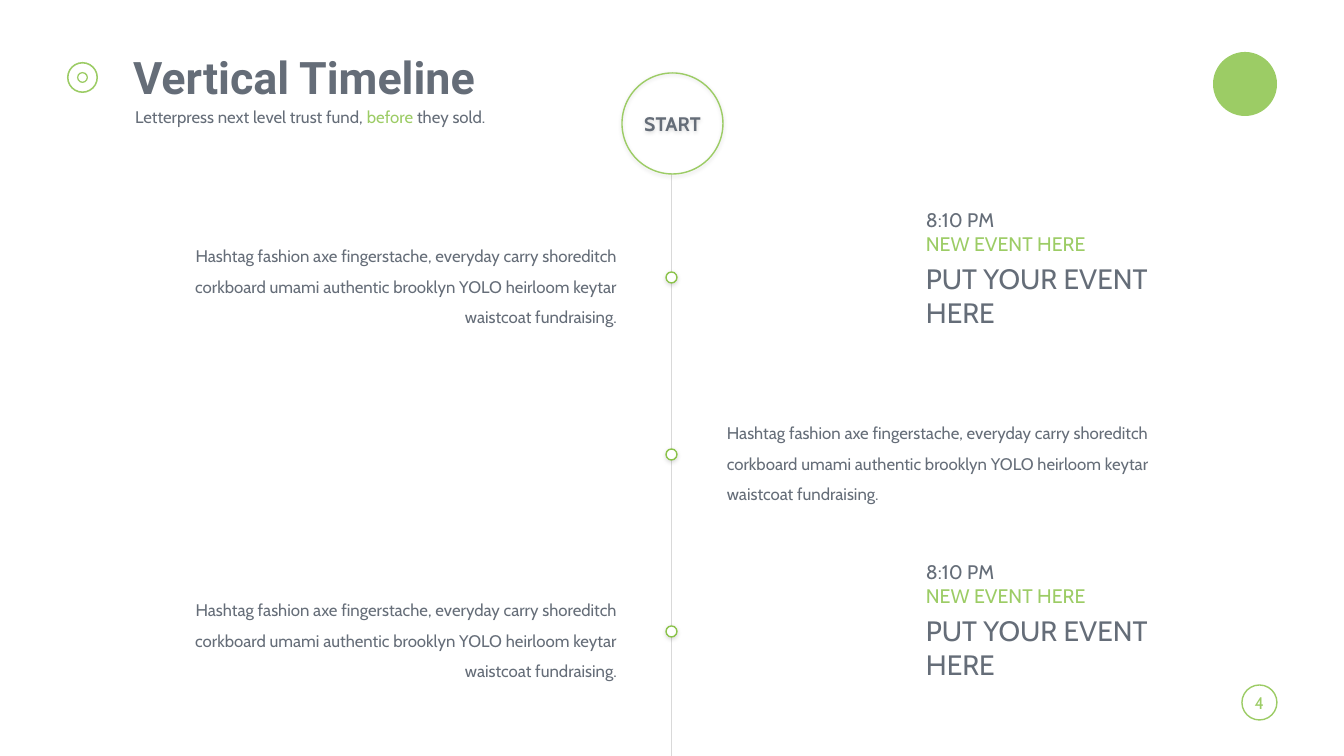
from dataclasses import dataclass

from lxml import etree
from pptx import Presentation
from pptx.dml.color import RGBColor
from pptx.enum.shapes import MSO_CONNECTOR, MSO_SHAPE
from pptx.enum.text import MSO_ANCHOR, MSO_AUTO_SIZE, PP_ALIGN
from pptx.oxml import parse_xml
from pptx.oxml.ns import nsdecls, qn
from pptx.util import Pt

PX = 12192000 / 1344  # EMU in one px


@dataclass(frozen=True)
class Theme:
    green: str = "9CCC65"
    dot_green: str = "8BC34A"
    grey: str = "656D78"
    line: str = "D9D9D9"
    white: str = "FFFFFF"
    head_font: str = "Roboto"
    body_font: str = "Cabin"
    title: int = 32
    event: int = 20
    label: int = 14
    text: int = 12


T = Theme()
SHADOW = (f'<a:effectLst {nsdecls("a")}><a:outerShdw blurRad="38100" dist="12700" '
          'dir="5400000" algn="t" rotWithShape="0"><a:srgbClr val="000000">'
          '<a:alpha val="15000"/></a:srgbClr></a:outerShdw></a:effectLst>')


def add_preset(kind, box, fill=None, line=None, shadow=False):
    sp = s.shapes.add_shape(kind, *(round(v * PX) for v in box))
    sp.shadow.inherit = False
    if fill:
        sp.fill.solid()
        sp.fill.fore_color.rgb = RGBColor.from_string(fill)
    else:
        sp.fill.background()
    if line:
        sp.line.color.rgb = RGBColor.from_string(line)
        sp.line.width = Pt(1)
    else:
        sp.line.fill.background()
    if shadow:
        effects = sp._element.spPr.find(qn("a:effectLst"))
        effects.getparent().replace(effects, parse_xml(SHADOW))
    return sp


def write(tf, paragraphs, font=T.body_font, bold=False, **para_format):
    """Fill a frame; each paragraph is a list of (text, size, colour) runs."""
    for i, runs in enumerate(paragraphs):
        p = tf.add_paragraph() if i else tf.paragraphs[0]
        for name, value in para_format.items():
            setattr(p, name, value)
        for text, size, colour in runs:
            r = p.add_run()
            r.text = text
            look = {"name": font, "size": Pt(size), "bold": bold}
            for name, value in look.items():
                setattr(r.font, name, value)
            r.font.color.rgb = RGBColor.from_string(colour)


prs = Presentation()
prs.slide_width, prs.slide_height = round(1344 * PX), round(756 * PX)
s = prs.slides.add_slide(prs.slide_layouts[1])

# Logo place, heading rings and page number
add_preset(MSO_SHAPE.OVAL, (1213, 52, 64, 64), fill=T.green)
for box, thickness in (((67, 62, 31, 31), 0.05), ((77, 72, 11, 11), 0.12)):
    ring = add_preset(MSO_SHAPE.DONUT, box, fill=T.green)
    ring.adjustments[0] = thickness
badge = add_preset(MSO_SHAPE.ROUNDED_RECTANGLE, (1242, 685, 35, 35), line=T.green)
badge.adjustments[0] = 0.5

# Title and subtitle
title, subtitle = s.shapes.title, s.placeholders[1]
for sp, box in ((title, (123, 51, 1015, 53)), (subtitle, (125, 104, 1013, 29))):
    sp.left, sp.top, sp.width, sp.height = (round(v * PX) for v in box)
    sp.text_frame.auto_size = MSO_AUTO_SIZE.NONE
    sp.text_frame.vertical_anchor = MSO_ANCHOR.TOP
pPr = subtitle.text_frame.paragraphs[0]._p.get_or_add_pPr()
pPr.set("marL", "0")
pPr.set("indent", "0")
etree.SubElement(pPr, qn("a:buNone"))
heading = {"alignment": PP_ALIGN.LEFT, "line_spacing": 0.9, "space_before": Pt(0)}
write(title.text_frame, [[("Vertical Timeline", T.title, T.grey)]],
      font=T.head_font, bold=True, **heading)
write(subtitle.text_frame, [[
    ("Letterpress next level trust fund, ", T.text, T.grey),
    ("before", T.text, T.green),
    (" they sold.", T.text, T.grey),
]], **heading)

# Timeline axis and start circle
axis = s.shapes.add_connector(
    MSO_CONNECTOR.STRAIGHT, *(round(v * PX) for v in (672, 174, 672, 756)))
axis.line.color.rgb = RGBColor.from_string(T.line)
axis.line.width = Pt(0.75)
etree.SubElement(axis._element.spPr, qn("a:effectLst"))
start = add_preset(MSO_SHAPE.OVAL, (622, 73, 101, 101), line=T.green, shadow=True)

for sp, text, size, colour, bold in (
        (badge, "4", T.text, T.green, False),
        (start, "START", T.label, T.grey, True)):
    tf = sp.text_frame
    tf.margin_left = tf.margin_right = tf.margin_top = tf.margin_bottom = 0
    tf.vertical_anchor = MSO_ANCHOR.MIDDLE
    tf.word_wrap = False
    write(tf, [[(text, size, colour)]], bold=bold, alignment=PP_ALIGN.CENTER)

# Timeline rows: a dot, a blurb on one side and, on the left rows, an event
BLURB = [[("Hashtag fashion axe fingerstache, everyday carry shoreditch "
           "corkboard umami authentic brooklyn YOLO heirloom keytar waistcoat fundraising.",
           T.text, T.grey)]]
EVENT = [
    [("8:10 PM", T.label, T.grey)],
    [("NEW EVENT HERE", T.label, T.green)],
    [("PUT YOUR EVENT", T.event, T.grey)],
    [("HERE", T.event, T.grey)],
]
ROW_STEP = 177
rows = [(161, PP_ALIGN.RIGHT, 203), (717, PP_ALIGN.LEFT, None), (161, PP_ALIGN.RIGHT, 555)]
for i, (blurb_left, align, event_top) in enumerate(rows):
    top = 231 + i * ROW_STEP
    add_preset(MSO_SHAPE.OVAL, (666, top + 41, 11, 11),
               fill=T.white, line=T.dot_green, shadow=True)
    boxes = [((blurb_left, top, 466, 102), BLURB,
              {"alignment": align, "line_spacing": 1.5})]
    if event_top:
        boxes.append(((916, event_top, 292, 132), EVENT, {"alignment": PP_ALIGN.LEFT}))
    for box, paragraphs, para_format in boxes:
        tf = s.shapes.add_textbox(*(round(v * PX) for v in box)).text_frame
        tf.word_wrap = True
        tf.auto_size = MSO_AUTO_SIZE.SHAPE_TO_FIT_TEXT
        write(tf, paragraphs, **para_format)
        if paragraphs is EVENT:
            tf.paragraphs[2].space_before = Pt(5)

prs.save("out.pptx")
